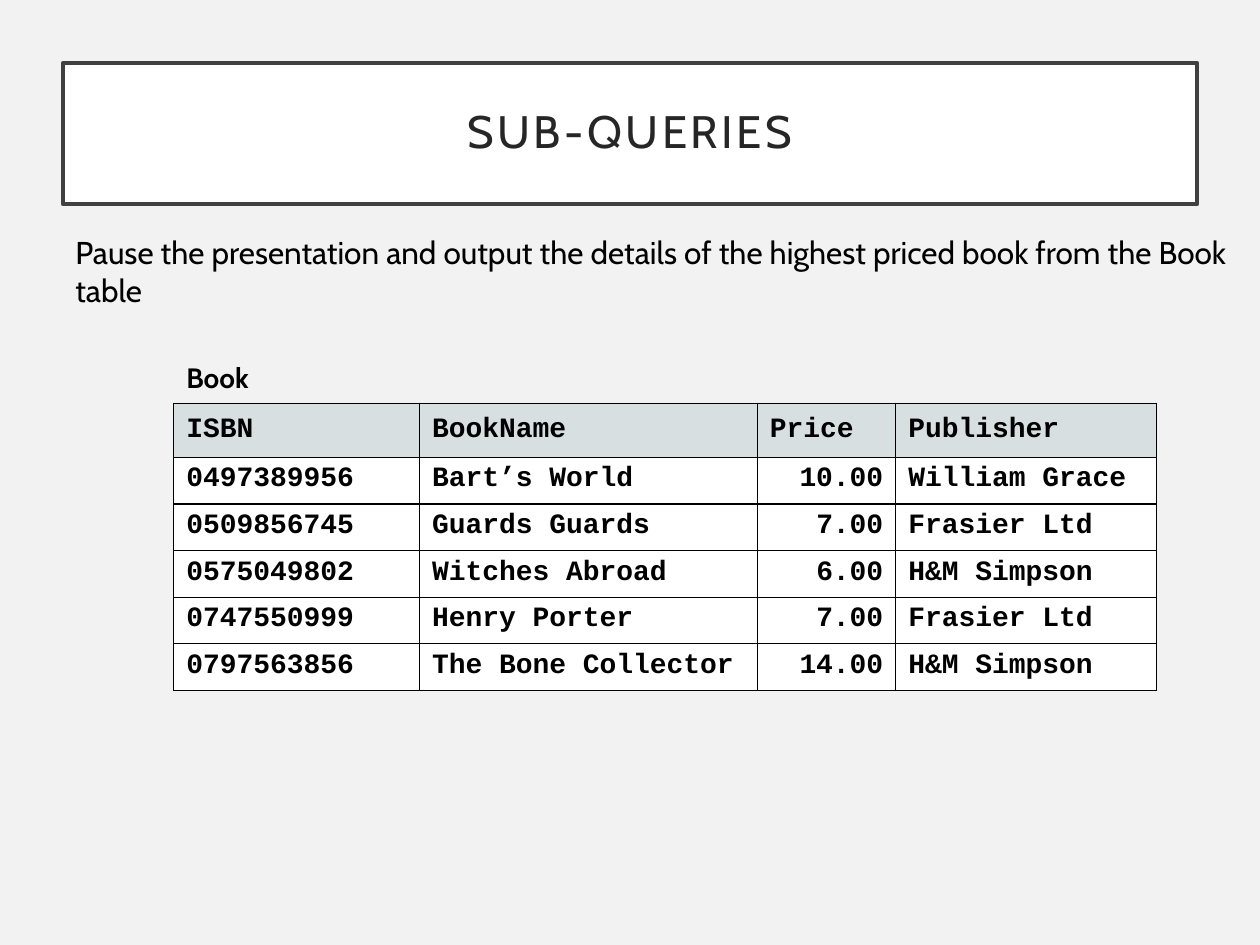
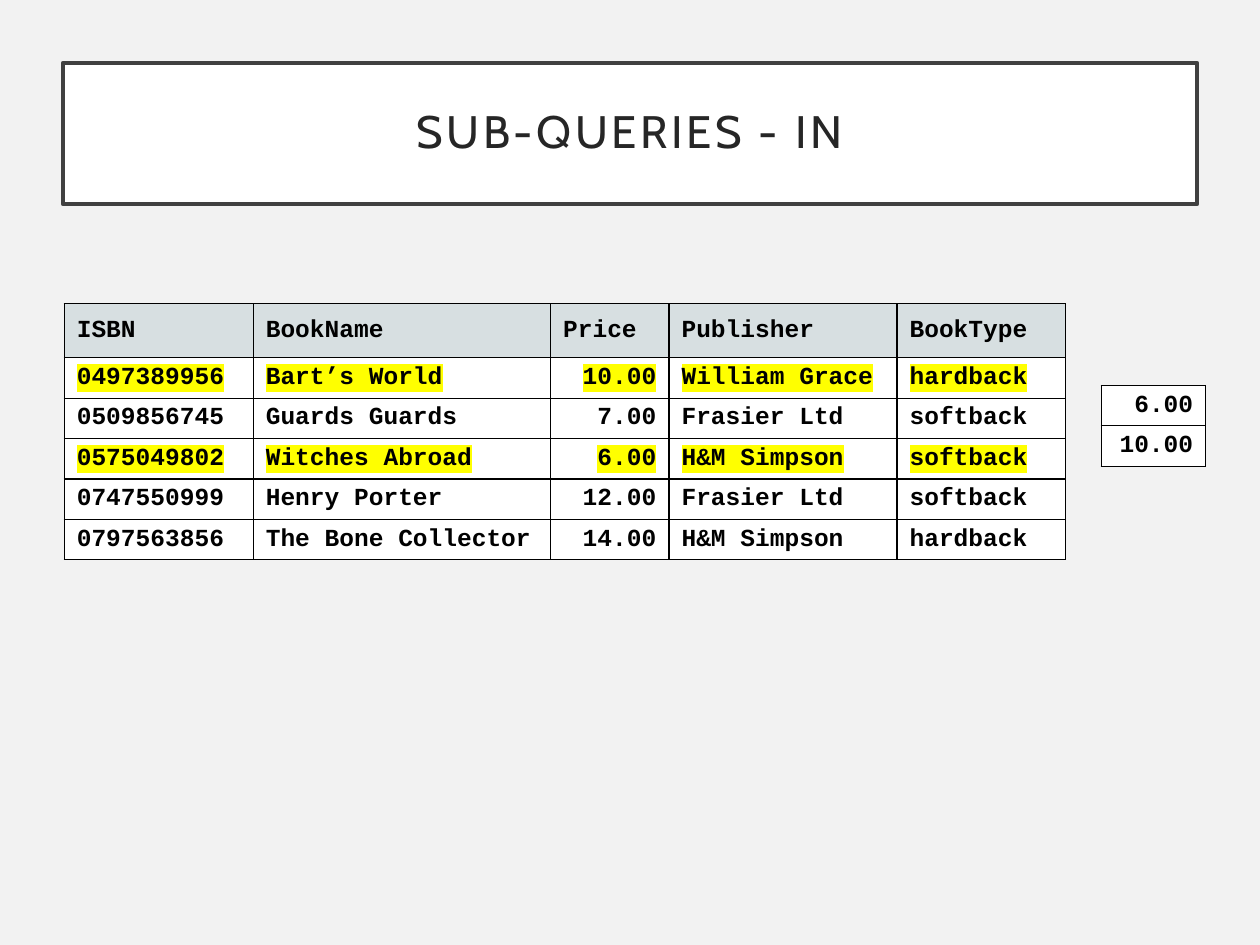
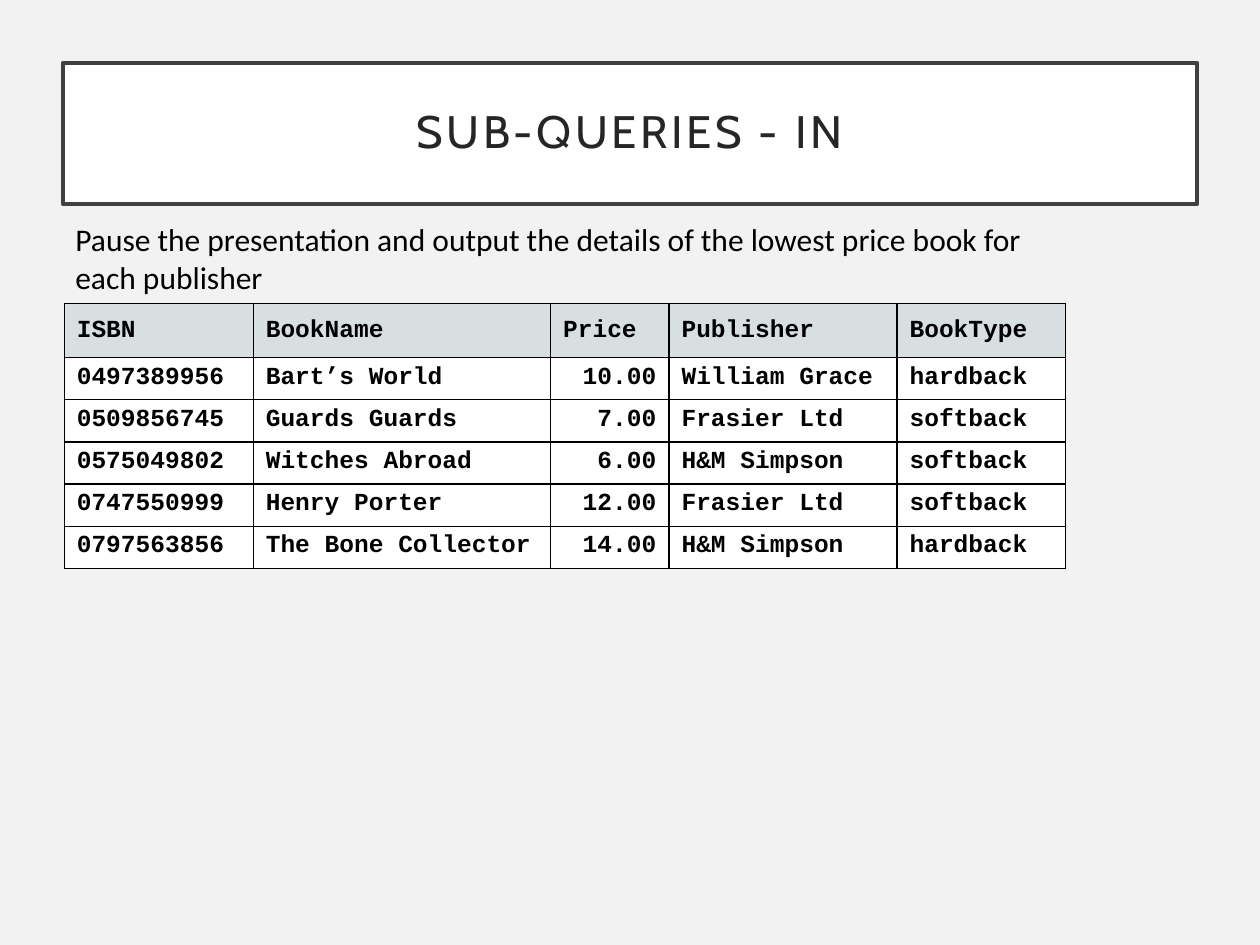
import pptx
import pptx.util
import pptx.dml.color
import pptx.enum.text
import pptx.oxml
import pptx.oxml.ns

Inches = pptx.util.Inches
Pt = pptx.util.Pt
ALIGN = pptx.enum.text.PP_ALIGN
ANCHOR = pptx.enum.text.MSO_ANCHOR
FIT = pptx.enum.text.MSO_AUTO_SIZE

HEX = {
    "page": "F2F2F2", "white": "FFFFFF", "frame": "404040", "title": "262626",
    "black": "000000", "head": "D7DFE1", "mark": "FFFF00",
}
SANS, MONO = "Cabin", "Courier New"

BOOKS = [
    ("ISBN", "BookName", "Price", "Publisher", "BookType"),
    ("0497389956", "Bart’s World", "10.00", "William Grace", "hardback"),
    ("0509856745", "Guards Guards", "7.00", "Frasier Ltd", "softback"),
    ("0575049802", "Witches Abroad", "6.00", "H&M Simpson", "softback"),
    ("0747550999", "Henry Porter", "12.00", "Frasier Ltd", "softback"),
    ("0797563856", "The Bone Collector", "14.00", "H&M Simpson", "hardback"),
]
WIDTHS = [1.5, 2.36, 0.94, 1.81, 1.34]
HEAD_HIGH = 0.43


def color(name):
    return pptx.dml.color.RGBColor.from_string(HEX[name])


def paint(fill, name):
    fill.solid()
    fill.fore_color.rgb = color(name)


def make(tag, inner="", attrs=""):
    space = pptx.oxml.ns.nsdecls("a")
    return pptx.oxml.parse_xml(f"<a:{tag} {space} {attrs}>{inner}</a:{tag}>")


def solid(name):
    return f'<a:solidFill><a:srgbClr val="{HEX[name]}"/></a:solidFill>'


def write(frame, text, size=18, font=SANS, tint="black", bold=False,
          align=ALIGN.LEFT, mark=False, track=0, lead=None):
    """Fill a text frame with one formatted run; track is in points."""
    para = frame.paragraphs[0]
    para.alignment = align
    para.line_spacing = lead
    run = para.add_run()
    run.text = text
    run.font.size, run.font.name, run.font.bold = Pt(size), font, bold
    run.font.color.rgb = color(tint)
    props = run.font._element
    if track:
        props.set("spc", str(track * 100))
    if mark:
        light = make("highlight", f'<a:srgbClr val="{HEX["mark"]}"/>')
        props.find(pptx.oxml.ns.qn("a:solidFill")).addnext(light)


def border(cell, width=0.75):
    props = cell._tc.get_or_add_tcPr()
    for place, side in enumerate("LRTB"):
        props.insert(place, make(f"ln{side}", solid("black"), f'w="{Pt(width)}"'))


def add_title(slide, text):
    title = slide.shapes.title
    title.left, title.top = Inches(0.5), Inches(0.5)
    title.width, title.height = Inches(9), Inches(1.12)
    paint(title.fill, "white")
    title.line.color.rgb = color("frame")
    title.line.width = Pt(2.5)
    frame = title.text_frame
    frame.margin_left = frame.margin_right = Inches(0.2)
    frame.margin_top = frame.margin_bottom = Inches(0.2)
    frame.vertical_anchor = ANCHOR.MIDDLE
    frame.auto_size = FIT.NONE
    write(frame, text, size=26, tint="title", align=ALIGN.CENTER, track=2, lead=0.9)


def add_note(slide, box, text, **style):
    note = slide.shapes.add_textbox(*map(Inches, box))
    note.text_frame.word_wrap = True
    note.text_frame.auto_size = FIT.SHAPE_TO_FIT_TEXT
    write(note.text_frame, text, **style)


def add_grid(slide, left, top, rows, widths, high, size=14, head=True, price=2, marks=()):
    """Draw a bordered table; price is the right-aligned column, marks the lit rows."""
    highs = [HEAD_HIGH if head and not r else high for r in range(len(rows))]
    box = left, top, sum(widths), sum(highs)
    grid = slide.shapes.add_table(len(rows), len(widths), *map(Inches, box)).table
    grid.first_row = grid.horz_banding = False
    for col, width in zip(grid.columns, widths):
        col.width = Inches(width)
    for r, (row, tall) in enumerate(zip(rows, highs)):
        grid.rows[r].height = Inches(tall)
        top_row = head and r == 0
        for c, text in enumerate(row):
            cell = grid.cell(r, c)
            paint(cell.fill, "head" if top_row else "white")
            border(cell)
            if top_row or not head:
                cell.vertical_anchor = ANCHOR.MIDDLE
            right = c == price and not top_row
            write(cell.text_frame, text, size=size, font=MONO, bold=True,
                  align=ALIGN.RIGHT if right else ALIGN.LEFT, mark=r in marks)


def add_page(deck, title):
    slide = deck.slides.add_slide(deck.slide_layouts.get_by_name("Title Only"))
    add_title(slide, title)
    return slide


def highest(deck):
    slide = add_page(deck, "SUB-QUERIES")
    add_note(slide, (0.5, 1.8, 9.37, 0.71),
             "Pause the presentation and output the details of the highest "
             "priced book from the Book table")
    add_note(slide, (1.38, 2.81, 2.91, 0.37), "Book", size=16, bold=True)
    rows = [list(row[:4]) for row in BOOKS]
    rows[4][2] = "7.00"
    add_grid(slide, 1.38, 3.2, rows, [1.95, 2.68, 1.1, 2.07], 0.37, size=16)


def matches(deck):
    slide = add_page(deck, "SUB-QUERIES - IN")
    add_grid(slide, 0.51, 2.41, BOOKS, WIDTHS, 0.32, marks=(1, 3))
    add_grid(slide, 8.74, 3.06, [["6.00"], ["10.00"]], [0.83], 0.32, head=False, price=0)


def lowest(deck):
    slide = add_page(deck, "SUB-QUERIES - IN")
    add_note(slide, (0.5, 1.7, 7.8, 0.71),
             "Pause the presentation and output the details of the lowest "
             "price book for each publisher", font="Calibri")
    add_grid(slide, 0.51, 2.41, BOOKS, WIDTHS, 0.33)


def main():
    deck = pptx.Presentation()
    deck.slide_width, deck.slide_height = Inches(10), Inches(7.5)
    paint(deck.slide_master.background.fill, "page")
    for build in (highest, matches, lowest):
        build(deck)
    deck.save("out.pptx")


if __name__ == "__main__":
    main()
